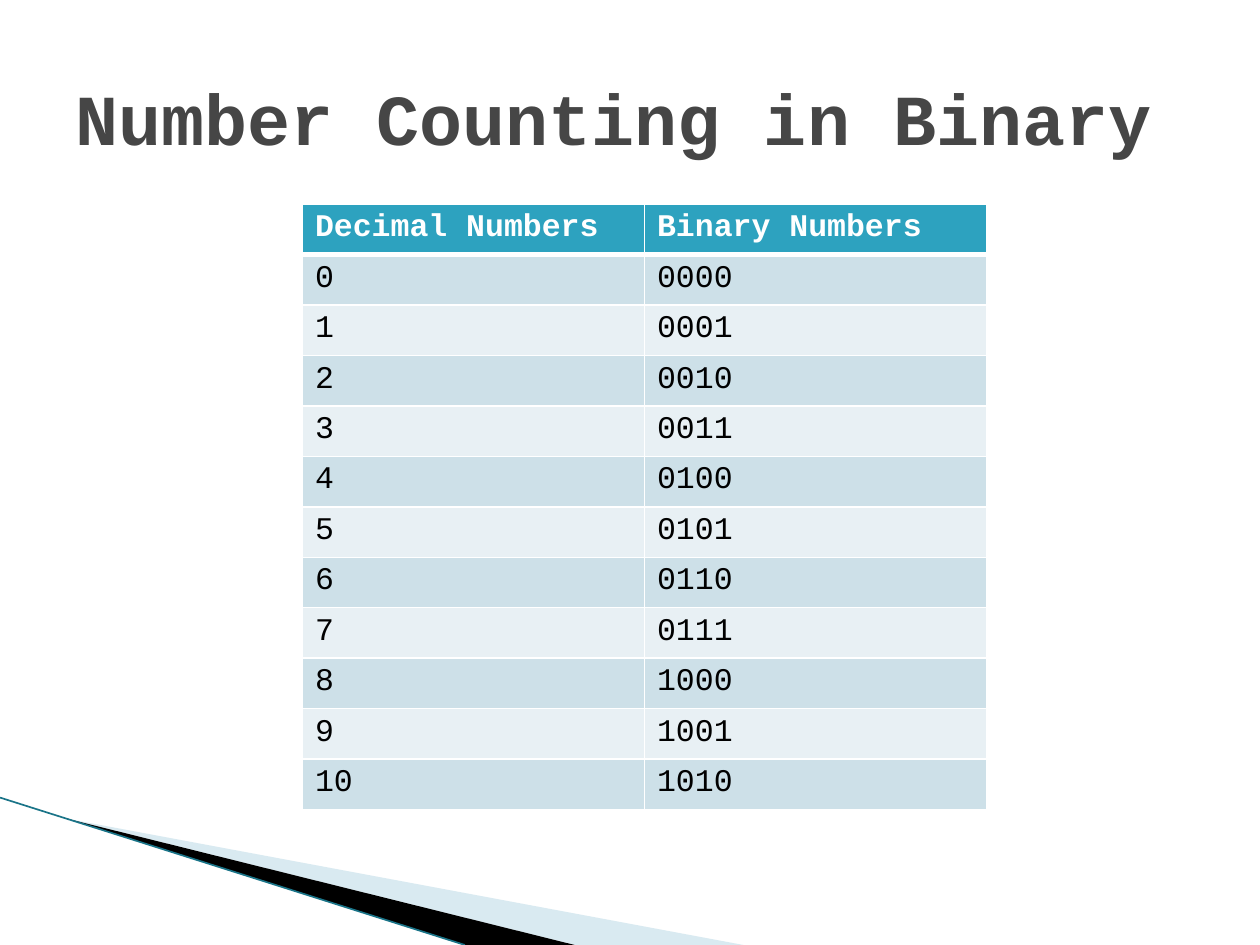
from lxml.etree import SubElement
from pptx import Presentation
from pptx.dml.color import RGBColor
from pptx.enum.shapes import MSO_CONNECTOR
from pptx.enum.text import MSO_ANCHOR
from pptx.oxml.ns import qn
from pptx.util import Inches, Pt

FONT = "Courier New"
WHITE, BLACK, GRAY = "FFFFFF", "000000", "464646"
HEADER, DARK_BAND, LIGHT_BAND = "2DA2BF", "CDE0E8", "E8F0F4"
PALE_BLUE, TEAL = "A0CBDC", "1A7488"


def color(hex_value):
    return RGBColor.from_string(hex_value)


def add_run(paragraph, text, size, hex_value, bold=False):
    run = paragraph.add_run()
    run.text = text
    run.font.name = FONT
    run.font.size = Pt(size)
    run.font.bold = bold
    run.font.color.rgb = color(hex_value)


def add_wedge(slide, points, hex_value, opacity=100):
    corners = [(Inches(x), Inches(y)) for x, y in points]
    builder = slide.shapes.build_freeform(*corners[0])
    builder.add_line_segments(corners[1:], close=True)
    shape = builder.convert_to_shape()
    shape.shadow.inherit = False
    shape.line.fill.background()
    shape.fill.solid()
    shape.fill.fore_color.rgb = color(hex_value)
    if opacity < 100:
        fill_color = shape.element.spPr.find(qn("a:solidFill"))[0]
        SubElement(fill_color, qn("a:alpha"), val=str(opacity * 1000))


def add_corner_decoration(slide, left, top, width, height):
    bottom = top + height
    tip = (left + 0.54, top + 0.17)
    add_wedge(slide, [tip, (left + width, bottom), (left + 4.56, bottom)],
              PALE_BLUE, opacity=40)
    add_wedge(slide, [tip, (left + 4.56, bottom), (left + 3.69, bottom)], BLACK)

    # Thin edge line
    edge = slide.shapes.add_connector(
        MSO_CONNECTOR.STRAIGHT, Inches(left), Inches(top),
        Inches(left + 3.69), Inches(bottom))
    edge.line.color.rgb = color(TEAL)
    edge.line.width = Pt(0.95)
    SubElement(edge.element.spPr, qn("a:effectLst"))


def add_title(slide, text, left, top, width, height):
    box = slide.shapes.add_textbox(
        Inches(left), Inches(top), Inches(width), Inches(height))
    frame = box.text_frame
    frame.word_wrap = True
    frame.margin_right = 0
    frame.vertical_anchor = MSO_ANCHOR.MIDDLE
    add_run(frame.paragraphs[0], text, 41, GRAY, bold=True)


def style_cell(cell, fill, bottom_width):
    # Borders come before the fill in the cell properties
    properties = cell._tc.get_or_add_tcPr()
    for side, width in (("L", 1), ("R", 1), ("T", 1), ("B", bottom_width)):
        border = SubElement(properties, qn(f"a:ln{side}"), w=str(Pt(width)))
        line_fill = SubElement(border, qn("a:solidFill"))
        SubElement(line_fill, qn("a:srgbClr"), val=WHITE)
    cell.fill.solid()
    cell.fill.fore_color.rgb = color(fill)


def add_number_table(slide, rows, left, top, width, height):
    table = slide.shapes.add_table(
        len(rows), len(rows[0]), Inches(left), Inches(top),
        Inches(width), Inches(height)).table
    for row_index, row in enumerate(rows):
        is_header = row_index == 0
        band = DARK_BAND if row_index % 2 else LIGHT_BAND
        for column_index, text in enumerate(row):
            cell = table.cell(row_index, column_index)
            style_cell(cell, HEADER if is_header else band, 3 if is_header else 1)
            add_run(cell.text_frame.paragraphs[0], text, 18,
                    WHITE if is_header else BLACK, bold=is_header)


def build_slide(presentation):
    slide = presentation.slides.add_slide(presentation.slide_layouts[6])
    add_corner_decoration(slide, 0, 6.33, 5.9, 1.17)
    add_title(slide, "Number Counting in Binary", 0.5, 0.3, 9, 1.25)
    rows = [("Decimal Numbers", "Binary Numbers")]
    rows += [(str(number), f"{number:04b}") for number in range(11)]
    add_number_table(slide, rows, 2.4, 1.62, 5.43, 4.6)


presentation = Presentation()
presentation.slide_width = Inches(10)
presentation.slide_height = Inches(7.5)
build_slide(presentation)
presentation.save("out.pptx")
